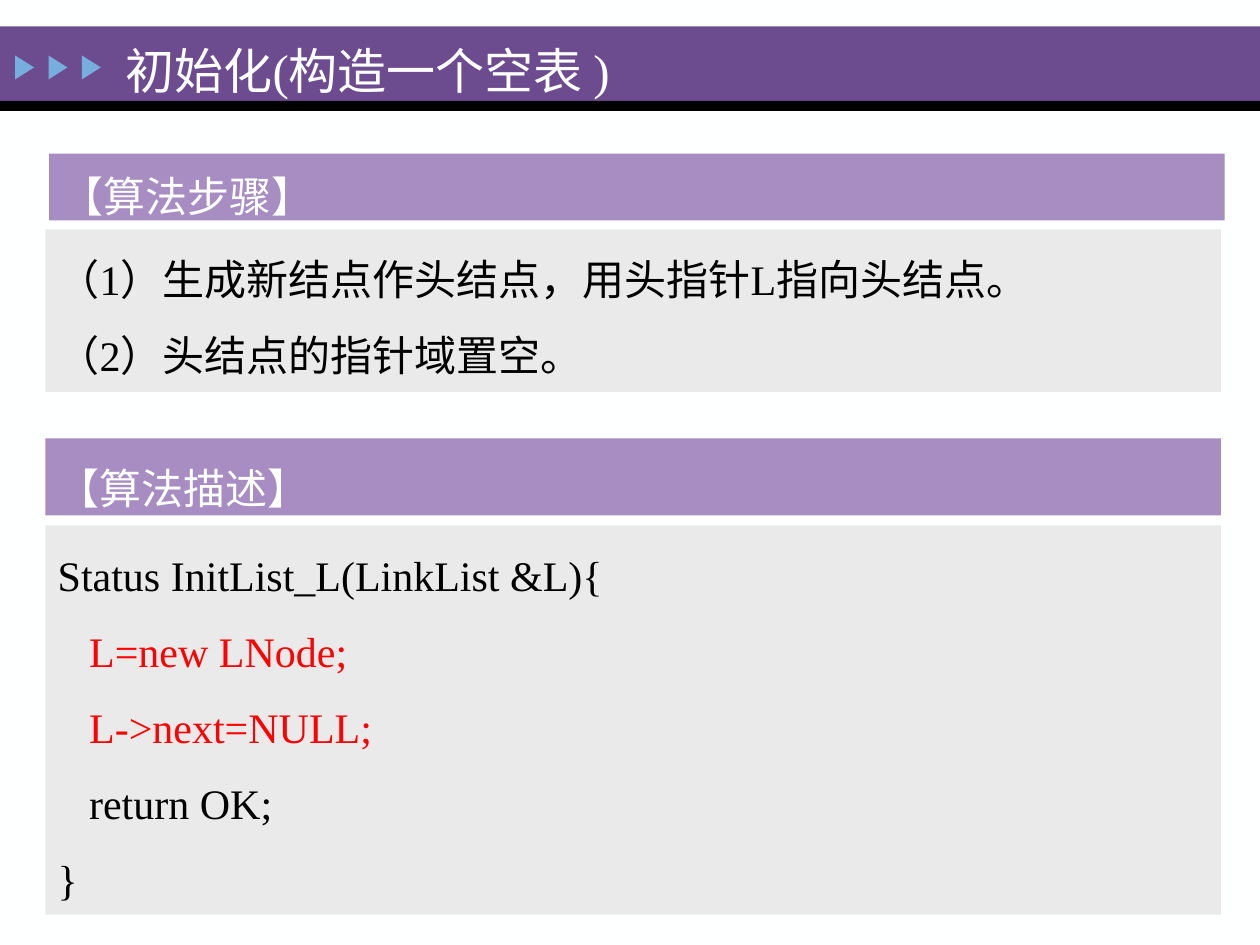
import pptx
import pptx.util
import pptx.dml.color
import pptx.enum.shapes
import pptx.enum.text

Inches = pptx.util.Inches
Pt = pptx.util.Pt
Kind = pptx.enum.shapes.MSO_SHAPE
Anchor = pptx.enum.text.MSO_ANCHOR

COLORS = {
    "white": "FEFFFF",
    "purple": "6C4C8F",
    "lilac": "A78DC2",
    "gray": "EAEAEA",
    "blue": "76AEDD",
    "black": "000000",
    "red": "FF0000",
}


class Deck:
    font = "Times New Roman"

    def __init__(self):
        self.show = pptx.Presentation()
        self.show.slide_width = Inches(10)
        self.show.slide_height = Inches(7.5)
        self.slide = self.show.slides.add_slide(self.show.slide_layouts[6])
        self.paint(self.slide.background.fill, "white")

    def paint(self, fill, color):
        fill.solid()
        fill.fore_color.rgb = self.rgb(color)

    def rgb(self, color):
        return pptx.dml.color.RGBColor.from_string(COLORS[color])

    def shape(self, box, color, kind=Kind.RECTANGLE, turn=0):
        item = self.slide.shapes.add_shape(kind, *map(Inches, box))
        item.shadow.inherit = False
        item.rotation = turn
        self.paint(item.fill, color)
        item.line.fill.background()
        return item

    def run(self, para, text, color, size):
        run = para.add_run()
        run.text = text
        run.font.name = self.font
        run.font.size = Pt(size)
        run.font.color.rgb = self.rgb(color)

    def title(self, box, text):
        item = self.slide.shapes.add_textbox(*map(Inches, box))
        frame = item.text_frame
        frame.word_wrap = True
        frame.vertical_anchor = Anchor.MIDDLE
        self.run(frame.paragraphs[0], text, "white", 28)

    def panel(self, box, fill, lines, anchor=Anchor.TOP):
        frame = self.shape(box, fill).text_frame
        frame.word_wrap = True
        frame.vertical_anchor = anchor
        frame.margin_top = Inches(0.07)
        for row, (text, color) in enumerate(lines):
            para = frame.add_paragraph() if row else frame.paragraphs[0]
            para.alignment = pptx.enum.text.PP_ALIGN.LEFT
            para.line_spacing = 1.3
            if row:
                para.space_before = Pt(6)
            self.run(para, text, color, 24)

    def save(self):
        self.show.save("out.pptx")


def main():
    deck = Deck()
    deck.shape((0, 0.21, 10, 0.59), "purple")
    deck.shape((0, 0.8, 10, 0.08), "black")
    for col in range(3):
        left = 0.1 + col * 0.265
        deck.shape((left, 0.46, 0.19, 0.15), "blue", Kind.ISOSCELES_TRIANGLE, 90)
    deck.title((0.9, 0.18, 7.84, 0.75), "初始化(构造一个空表 )")

    deck.panel((0.39, 1.22, 9.33, 0.53), "lilac",
               [("【算法步骤】", "white")], Anchor.MIDDLE)
    deck.panel((0.36, 1.82, 9.33, 1.29), "gray", [
        ("（1）生成新结点作头结点，用头指针L指向头结点。", "black"),
        ("（2）头结点的指针域置空。", "black"),
    ])
    deck.panel((0.36, 3.48, 9.33, 0.61), "lilac", [("【算法描述】", "white")])
    deck.panel((0.36, 4.17, 9.33, 3.09), "gray", [
        ("Status InitList_L(LinkList &L){", "black"),
        ("   L=new LNode;", "red"),
        ("   L->next=NULL;", "red"),
        ("   return OK;", "black"),
        ("}", "black"),
    ])
    deck.save()


if __name__ == "__main__":
    main()
